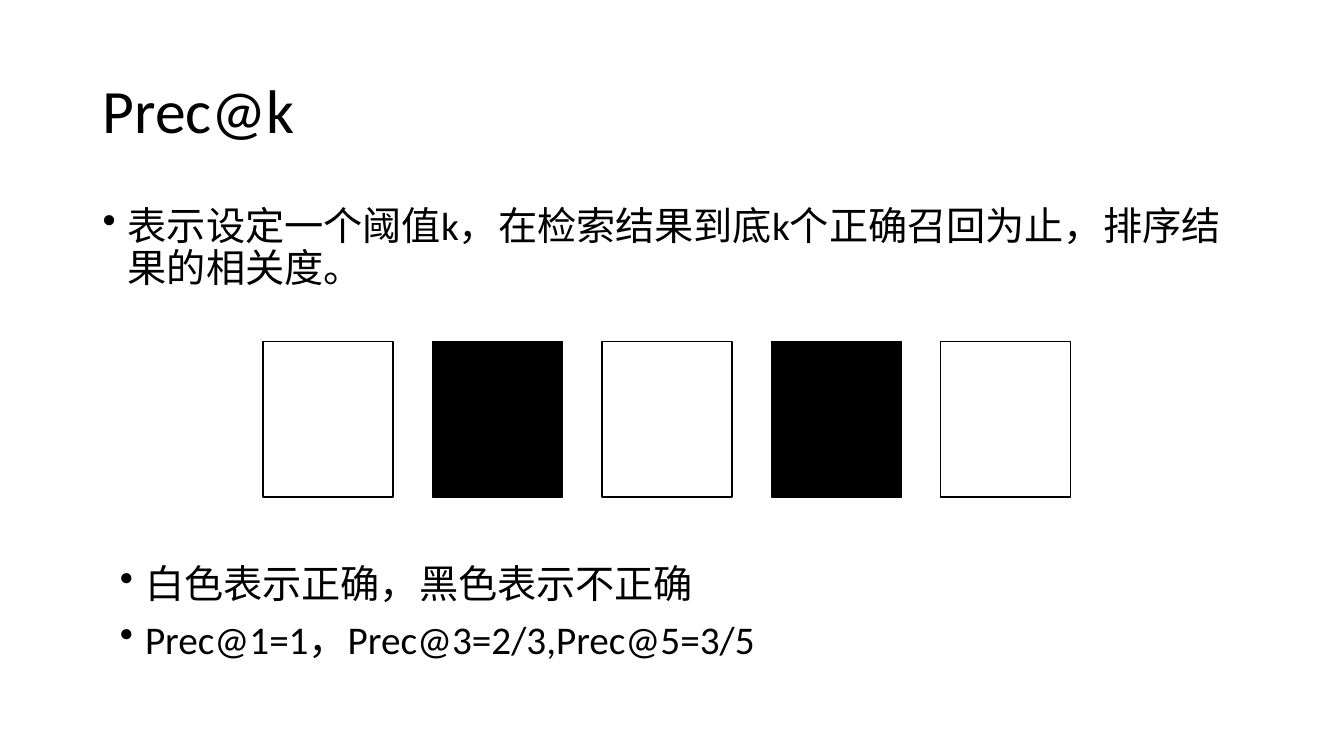
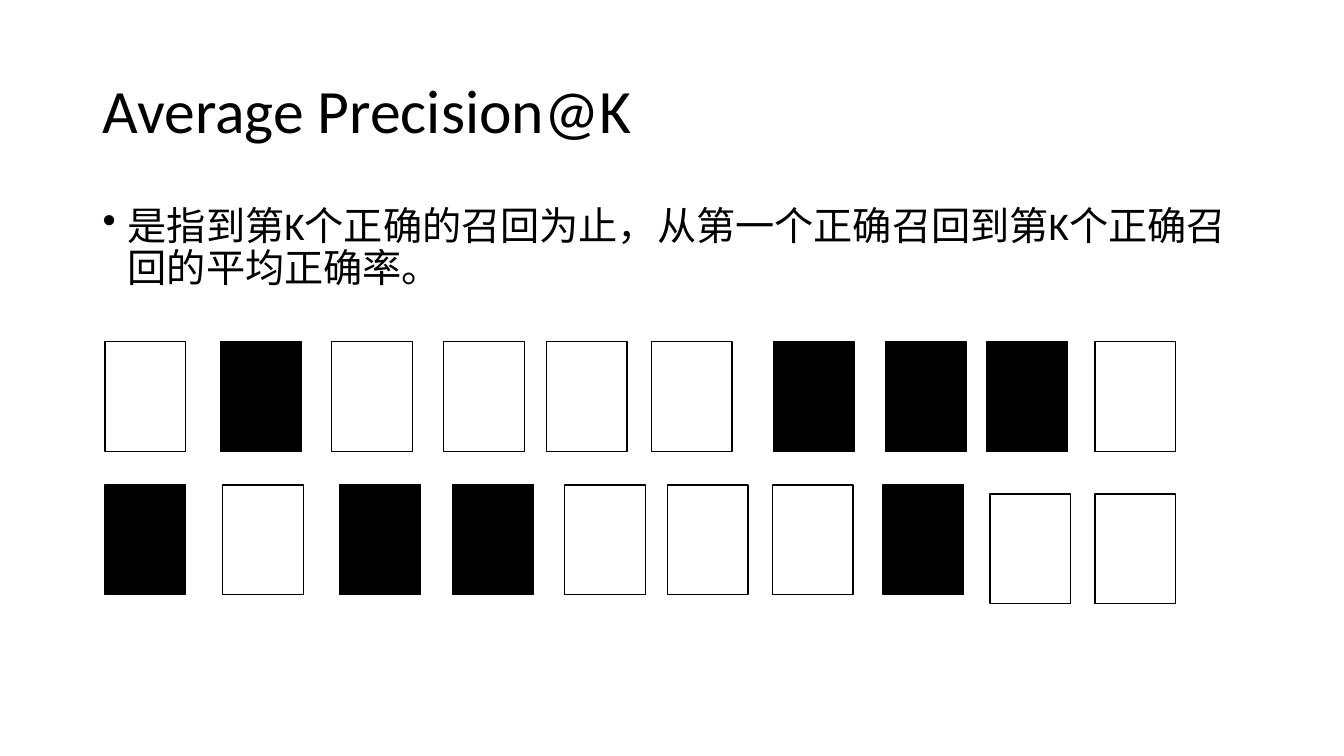
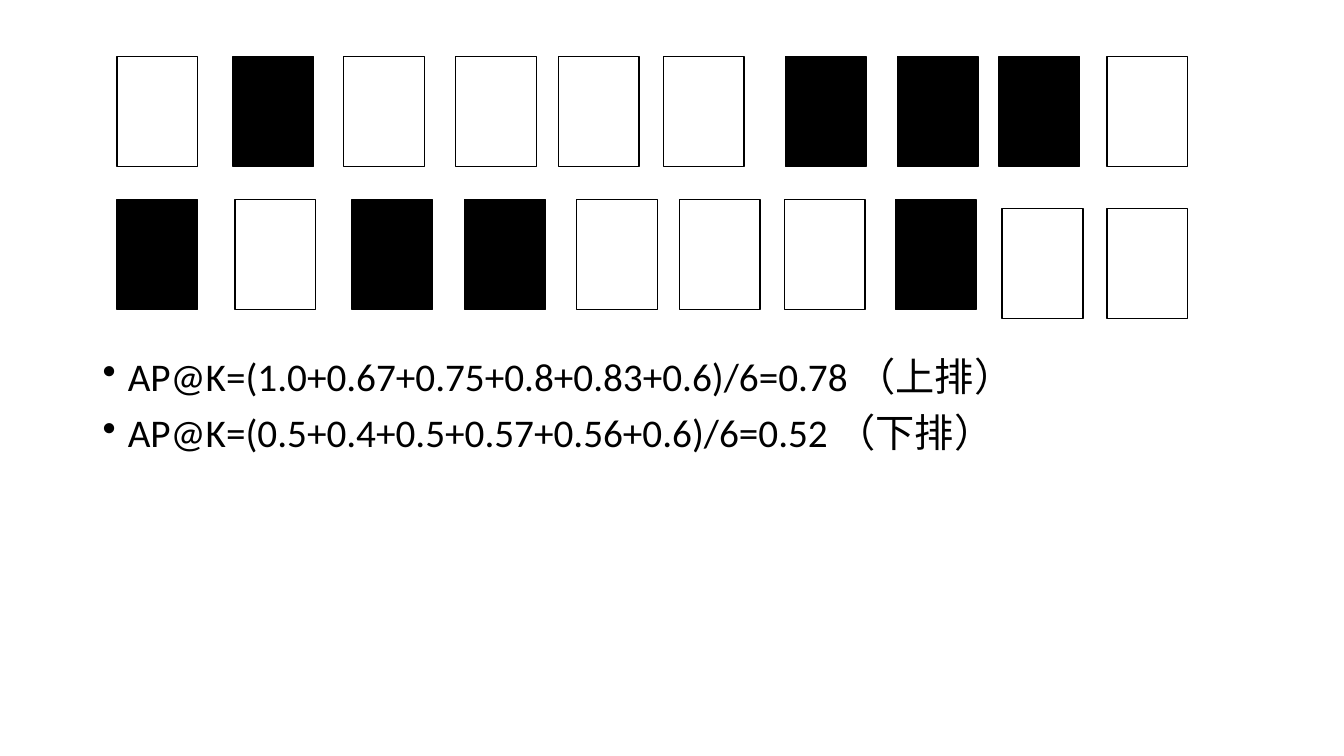
"""Build three slides explaining Prec@k and Average Precision@K."""
from dataclasses import dataclass

from lxml import etree
from pptx import Presentation
from pptx import util as u
from pptx.dml.color import RGBColor
from pptx.enum import shapes, text
from pptx.oxml import ns
from pptx.slide import Slide

BLACK = RGBColor(0, 0, 0)
WHITE = RGBColor(255, 255, 255)
FONT = "Calibri"
MARGIN = 0.92
TEXT_WIDTH = 11.5


@dataclass(frozen=True)
class Card:
    """A result card: white when correct, black when wrong."""
    left: float
    top: float
    correct: bool
    width: float = 0.8
    height: float = 1.09


@dataclass(frozen=True)
class Ranking:
    """A row of results, with the step down of its last cards."""
    lefts: tuple[float, ...]
    correct: str
    top: float
    lowered: int = 0

    def cards(self, dx: float, dy: float) -> list[Card]:
        """Return the cards of the row, moved by dx and dy."""
        first_lowered = len(self.lefts) - self.lowered
        return [
            Card(left + dx, self.top + dy + (0.09 if i >= first_lowered else 0), mark == "1")
            for i, (left, mark) in enumerate(zip(self.lefts, self.correct))
        ]


UPPER = Ranking((1.04, 2.19, 3.29, 4.4, 5.42, 6.46, 7.67, 8.78, 9.79, 10.86),
                "1011110001", 3.39)
LOWER = Ranking((1.04, 2.21, 3.37, 4.49, 5.6, 6.62, 7.66, 8.76, 9.82, 10.86),
                "0100111011", 4.81, lowered=2)


def add_text(page: Slide, lines: list[str], top: float, height: float, *,
             left: float = MARGIN, size: int = 28, bullet: bool = True,
             anchor: text.MSO_ANCHOR = text.MSO_ANCHOR.TOP) -> None:
    """Add a text box with one paragraph per line."""
    box = page.shapes.add_textbox(u.Inches(left), u.Inches(top),
                                  u.Inches(TEXT_WIDTH), u.Inches(height))
    frame = box.text_frame
    frame.word_wrap = True
    frame.vertical_anchor = anchor
    for i, line in enumerate(lines):
        para = frame.add_paragraph() if i else frame.paragraphs[0]
        para.line_spacing = 0.9
        span = para.add_run()
        span.text = line
        span.font.name = FONT
        span.font.size = u.Pt(size)
        span.font.color.rgb = BLACK
        if bullet:
            para.space_before = u.Pt(10)
            props = para._p.get_or_add_pPr()
            props.set("marL", str(u.Inches(0.25)))
            props.set("indent", str(u.Inches(-0.25)))
            etree.SubElement(props, ns.qn("a:buChar")).set("char", "•")


def add_title(page: Slide, title: str) -> None:
    """Add the slide title."""
    add_text(page, [title], 0.4, 1.45, size=44, bullet=False,
             anchor=text.MSO_ANCHOR.MIDDLE)


def add_cards(page: Slide, cards: list[Card]) -> None:
    """Draw result cards."""
    for card in cards:
        box = page.shapes.add_shape(
            shapes.MSO_SHAPE.RECTANGLE, u.Inches(card.left), u.Inches(card.top),
            u.Inches(card.width), u.Inches(card.height))
        box.shadow.inherit = False
        box.fill.solid()
        box.fill.fore_color.rgb = WHITE if card.correct else BLACK
        box.line.color.rgb = BLACK
        box.line.width = u.Pt(1)


def add_rankings(page: Slide, dx: float = 0, dy: float = 0) -> None:
    """Draw both rankings, moved by dx and dy."""
    for ranking in (UPPER, LOWER):
        add_cards(page, ranking.cards(dx, dy))


def build_precision(page: Slide) -> None:
    """Fill the Prec@k slide."""
    add_title(page, "Prec@k")
    add_text(page, ["表示设定一个阈值k，在检索结果到底k个正确召回为止，排序结果的相关度。"], 2, 1.13)
    add_cards(page, [Card(2.61 + 1.68 * i, 3.39, i % 2 == 0, 1.29, 1.54)
                     for i in range(5)])
    add_text(page, ["白色表示正确，黑色表示不正确", "Prec@1=1，Prec@3=2/3,Prec@5=3/5"],
             5.55, 1.13, left=1.09)


def build_average(page: Slide) -> None:
    """Fill the Average Precision@K slide."""
    add_title(page, "Average Precision@K")
    add_text(page, ["是指到第K个正确的召回为止，从第一个正确召回到第K个正确召回的平均正确率。"], 2, 1.05)
    add_rankings(page)


def build_example(page: Slide) -> None:
    """Fill the slide with the worked averages."""
    add_text(page, ["AP@K=(1.0+0.67+0.75+0.8+0.83+0.6)/6=0.78 （上排）",
                    "AP@K=(0.5+0.4+0.5+0.57+0.56+0.6)/6=0.52 （下排）"], 3.5, 3.26)
    add_rankings(page, dx=0.12, dy=-2.83)


def main() -> None:
    """Build and save the deck."""
    deck = Presentation()
    deck.slide_width = u.Inches(13.33)
    deck.slide_height = u.Inches(7.5)
    for build in (build_precision, build_average, build_example):
        build(deck.slides.add_slide(deck.slide_layouts[6]))
    deck.save("out.pptx")


main()
